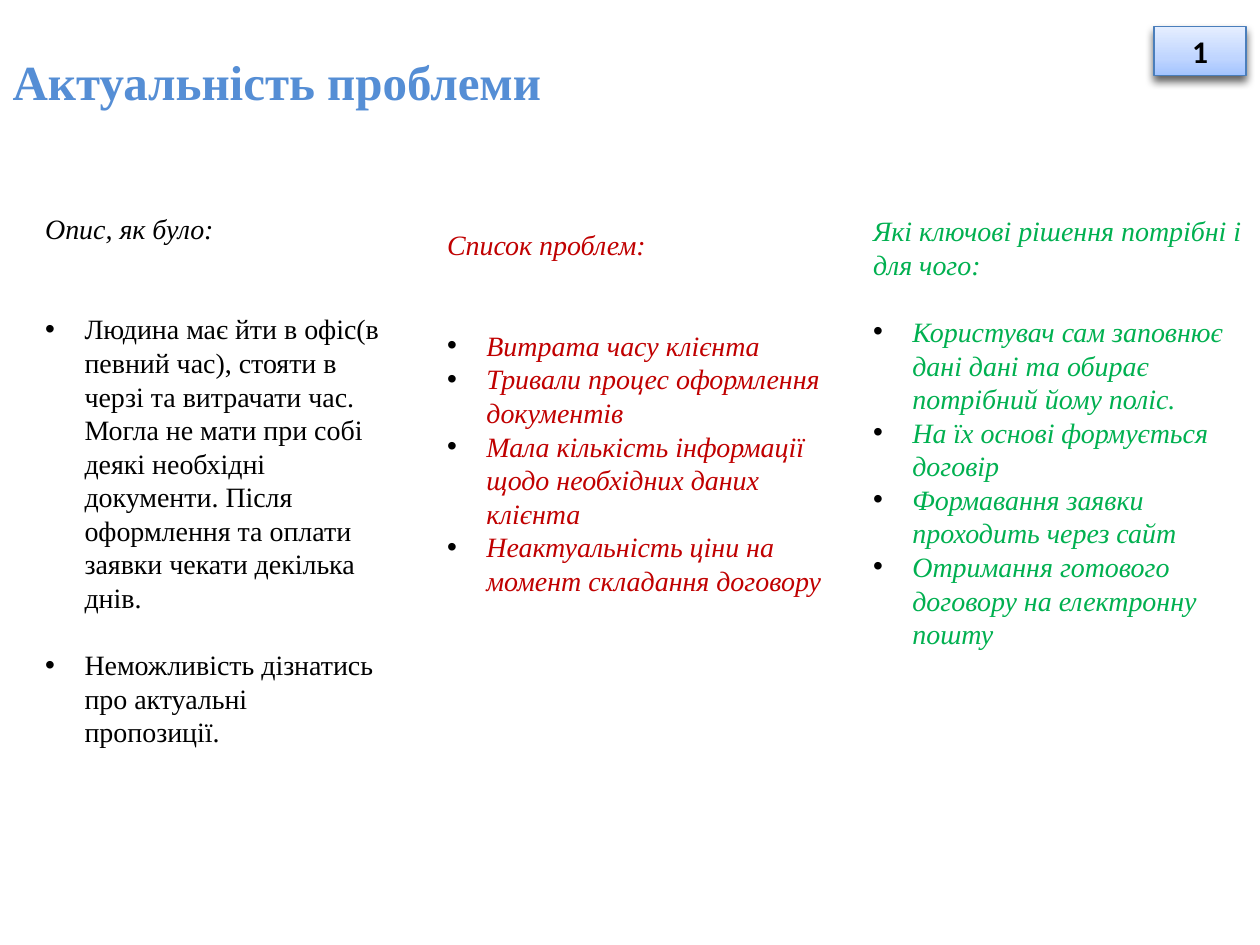
from lxml import etree
from pptx import Presentation
from pptx.dml.color import RGBColor
from pptx.enum.shapes import MSO_SHAPE
from pptx.enum.text import MSO_ANCHOR, PP_ALIGN
from pptx.oxml import parse_xml
from pptx.oxml.ns import qn
from pptx.util import Pt

RECTANGLE = MSO_SHAPE.RECTANGLE
MIDDLE = MSO_ANCHOR.MIDDLE
LEFT, CENTER = PP_ALIGN.LEFT, PP_ALIGN.CENTER
NAMESPACE = 'xmlns:a="http://schemas.openxmlformats.org/drawingml/2006/main"'

SERIF = "Times New Roman"
LINE = 19.2      # line pitch of the columns
INDENT = 22.5    # hanging indent of the bullets

# Each column: box, colour, italic bullets, heading, blank lines under it,
# then bullets with the blank lines before each
COLUMNS = [
    ((18.7, 117.1, 209.5, 399.1), "000000", False, "Опис, як було:", 2, [
        ("Людина має йти в офіс(в певний час), стояти в черзі та витрачати час. "
         "Могла не мати при собі деякі необхідні документи. "
         "Після оформлення та оплати заявки чекати декілька днів.", 0),
        ("Неможливість дізнатись про актуальні пропозиції.", 1),
    ]),
    ((248.4, 126.5, 228.2, 256.6), "C00000", True, "Список проблем:", 2, [
        ("Витрата часу клієнта", 0),
        ("Тривали процес оформлення документів", 0),
        ("Мала кількість інформації щодо необхідних даних клієнта", 0),
        ("Неактуальність ціни на момент складання договору", 0),
    ]),
    ((491.8, 118.6, 228.2, 421.4), "00B050", True,
     "Які ключові рішення потрібні і для чого:", 1, [
        ("Користувач сам заповнює дані дані та обирає потрібний йому поліс.", 0),
        ("На їх основі формується договір", 0),
        ("Формавання заявки проходить через сайт", 0),
        ("Отримання готового договору на електронну пошту", 0),
    ]),
]


def color(value):
    return RGBColor.from_string(value)


def style(para, font, size, value, bold=False, italic=False):
    for span in para.runs:
        span.font.name = font
        span.font.size = Pt(size)
        span.font.bold = bold
        span.font.italic = italic
        span.font.color.rgb = color(value)


def add_bullet(para):
    properties = para._p.get_or_add_pPr()
    properties.set("marL", str(Pt(INDENT)))
    properties.set("indent", str(-Pt(INDENT)))
    bullet_color = etree.SubElement(properties, qn("a:buClr"))
    etree.SubElement(bullet_color, qn("a:srgbClr"), val="000000")
    etree.SubElement(properties, qn("a:buFont"), typeface="Arial")
    etree.SubElement(properties, qn("a:buChar"), char="•")


def place_title(page, box, text):
    title = page.shapes.title
    title.left, title.top, title.width, title.height = map(Pt, box)
    frame = title.text_frame
    frame.text = text
    frame.vertical_anchor = MIDDLE
    frame.paragraphs[0].alignment = LEFT
    style(frame.paragraphs[0], SERIF, 28, "558ED5", bold=True)


def add_number_badge(page, box, text):
    badge = page.shapes.add_shape(RECTANGLE, *map(Pt, box))
    badge.line.color.rgb = color("4A7EBB")
    badge.line.width = Pt(0.75)

    # Three-stop gradient running upwards, with a soft shadow below
    stops = "".join(
        f'<a:gs pos="{percent * 1000}"><a:srgbClr val="{value}"/></a:gs>'
        for percent, value in [(0, "A3C4FF"), (35, "BFD5FF"), (100, "E5EEFF")])
    gradient = parse_xml(
        f'<a:gradFill {NAMESPACE} rotWithShape="1"><a:gsLst>{stops}</a:gsLst>'
        '<a:lin ang="16200000" scaled="0"/></a:gradFill>')
    shadow = parse_xml(
        f'<a:effectLst {NAMESPACE}><a:outerShdw blurRad="{Pt(5)}" dist="{Pt(3)}" '
        'dir="5400000" rotWithShape="0"><a:srgbClr val="000000">'
        '<a:alpha val="62000"/></a:srgbClr></a:outerShdw></a:effectLst>')
    outline = badge._element.spPr.find(qn("a:ln"))
    outline.addprevious(gradient)
    outline.addnext(shadow)

    frame = badge.text_frame
    frame.text = text
    frame.vertical_anchor = MIDDLE
    frame.paragraphs[0].alignment = CENTER
    style(frame.paragraphs[0], "Calibri", 18, "000000", bold=True)


def add_column(page, box, value, italic, heading, heading_gap, bullets):
    frame = page.shapes.add_textbox(*map(Pt, box)).text_frame
    frame.word_wrap = True

    # Heading
    para = frame.paragraphs[0]
    para.text = heading
    para.line_spacing = Pt(LINE)
    para.space_after = Pt(LINE * heading_gap)
    style(para, SERIF, 16, value, italic=True)

    # Bullets
    for text, gap in bullets:
        para = frame.add_paragraph()
        para.text = text
        add_bullet(para)
        para.line_spacing = Pt(LINE)
        para.space_before = Pt(LINE * gap)
        style(para, SERIF, 16, value, italic=italic)


def main():
    deck = Presentation()
    deck.slide_width, deck.slide_height = Pt(720), Pt(540)
    page = deck.slides.add_slide(deck.slide_layouts[5])
    place_title(page, (0, 15.1, 649.4, 61.9), "Актуальність проблеми")
    add_number_badge(page, (659.5, 15.1, 52.6, 28.1), "1")
    for column in COLUMNS:
        add_column(page, *column)
    deck.save("out.pptx")


if __name__ == "__main__":
    main()
